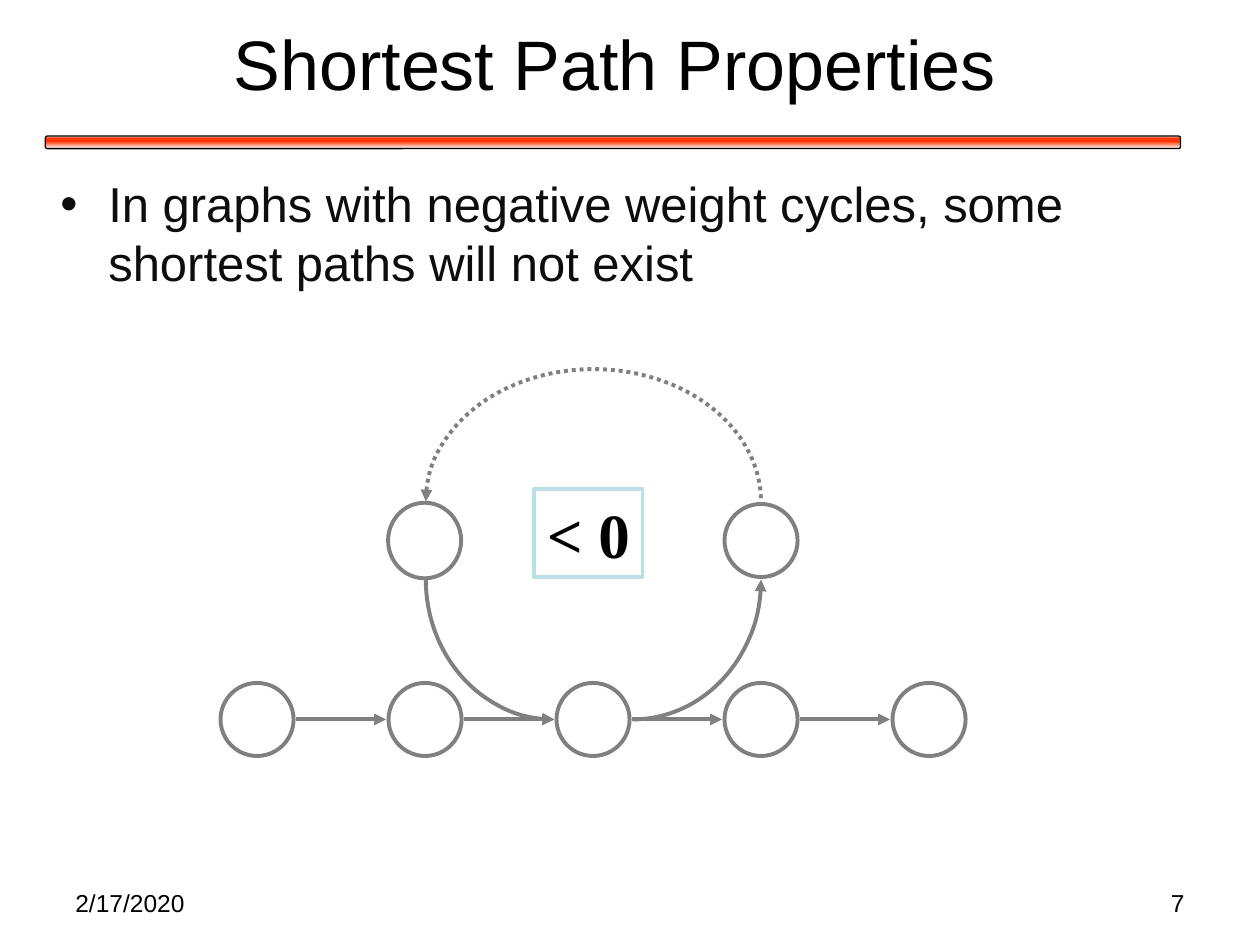
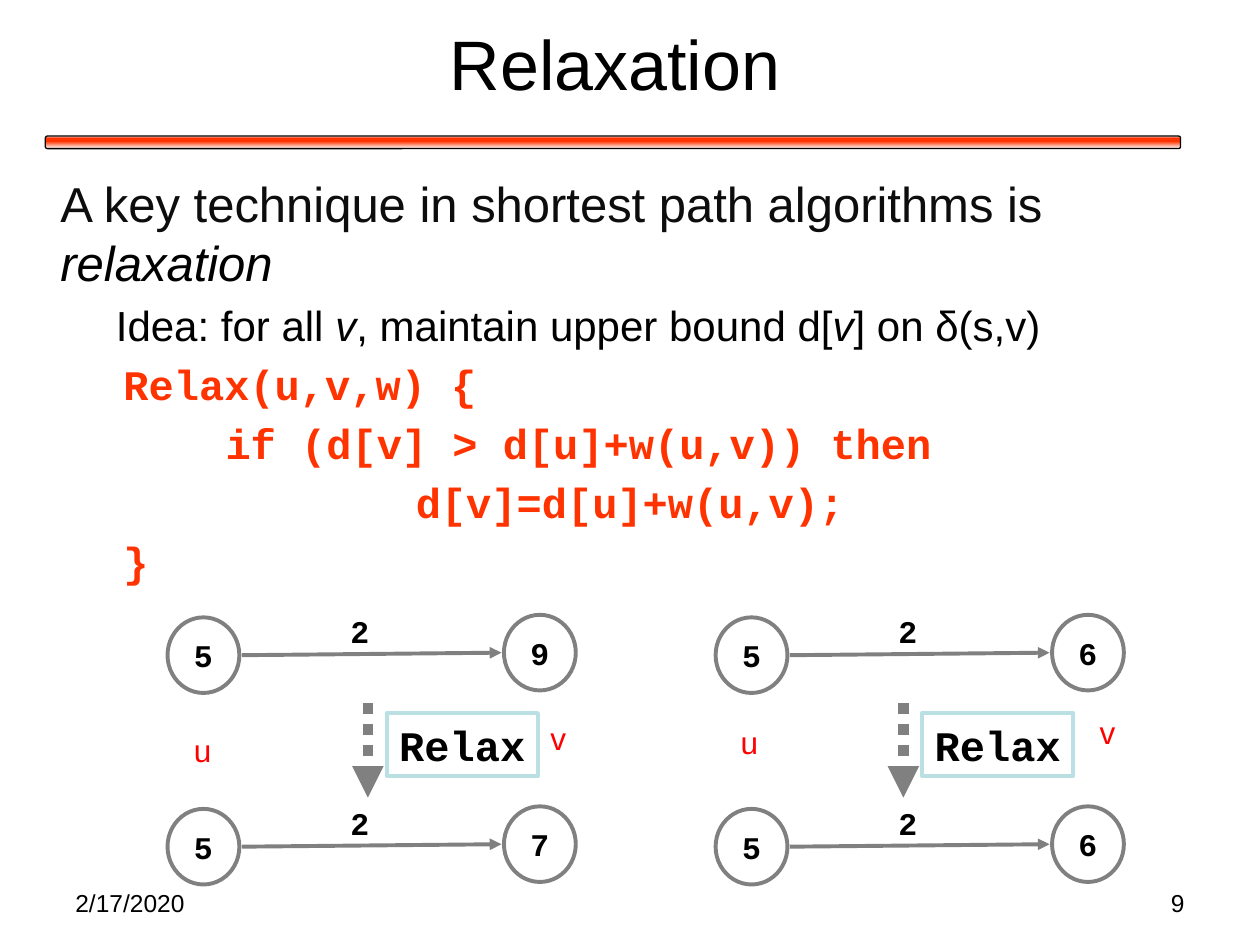
from lxml import etree
from pptx import Presentation
from pptx.dml.color import RGBColor
from pptx.enum.dml import MSO_LINE
from pptx.enum.shapes import MSO_CONNECTOR, MSO_SHAPE
from pptx.enum.text import MSO_ANCHOR, MSO_AUTO_SIZE, PP_ALIGN
from pptx.oxml.ns import qn
from pptx.util import Inches, Pt

BLACK = RGBColor(0x00, 0x00, 0x00)
NEAR_BLACK = RGBColor(0x0D, 0x0D, 0x0D)
WHITE = RGBColor(0xFF, 0xFF, 0xFF)
GRAY = RGBColor(0x80, 0x80, 0x80)
ORANGE_RED = RGBColor(0xFF, 0x33, 0x00)
RED = RGBColor(0xFF, 0x00, 0x00)
PALE_TEAL = RGBColor(0xBB, 0xE0, 0xE3)

SANS, MONO, SERIF = "Arial", "Courier New", "Times New Roman"
BAND_STOPS = [(0, WHITE), (16, ORANGE_RED), (42, ORANGE_RED), (100, WHITE)]
LINE_WIDTH = 2.25
NODE_WIDTH, NODE_HEIGHT = 0.57, 0.6
GRAPH_NODE = 0.58


def inches(*lengths):
    return [Inches(length) for length in lengths]


def style_run(run, size, color=BLACK, font=SANS, bold=False, italic=False):
    run.font.size = Pt(size)
    run.font.name = font
    run.font.color.rgb = color
    run.font.bold = bold
    run.font.italic = italic


def style_line(shape, color=GRAY, width=LINE_WIDTH, dotted=False):
    shape.line.color.rgb = color
    shape.line.width = Pt(width)
    if dotted:
        shape.line.dash_style = MSO_LINE.ROUND_DOT


def add_arrowhead(shape, end):
    """Put a triangle at an end of the line: headEnd or tailEnd."""
    outline = shape._element.spPr.find(qn("a:ln"))
    etree.SubElement(outline, qn(f"a:{end}"), type="triangle")


def add_label(shapes, text, box, size, align=PP_ALIGN.LEFT, wrap=False, border=None, **font):
    label = shapes.add_textbox(*inches(*box))
    label.text_frame.word_wrap = wrap
    label.text_frame.text = text
    paragraph = label.text_frame.paragraphs[0]
    paragraph.alignment = align
    style_run(paragraph.runs[0], size, **font)
    if border is not None:
        style_line(label, border)


def add_node(shapes, left, top, width, height, text=""):
    node = shapes.add_shape(MSO_SHAPE.OVAL, *inches(left, top, width, height))
    node.shadow.inherit = False
    node.fill.solid()
    node.fill.fore_color.rgb = WHITE
    style_line(node)
    if text:
        node.text_frame.text = text
        node.text_frame.vertical_anchor = MSO_ANCHOR.MIDDLE
        paragraph = node.text_frame.paragraphs[0]
        paragraph.alignment = PP_ALIGN.CENTER
        style_run(paragraph.runs[0], 18, font=MONO, bold=True)


def add_arrow(shapes, start, end, width=LINE_WIDTH, dotted=False):
    arrow = shapes.add_connector(MSO_CONNECTOR.STRAIGHT, *inches(*start, *end))
    style_line(arrow, width=width, dotted=dotted)
    add_arrowhead(arrow, "tailEnd")
    etree.SubElement(arrow._element.spPr, qn("a:effectLst"))


def add_arc_arrow(shapes, center, radii, degrees, dotted=False):
    """Draw a clockwise arc between two angles, with the arrowhead at its start."""
    (x, y), (radius_x, radius_y) = center, radii
    arc = shapes.add_shape(
        MSO_SHAPE.ARC, *inches(x - radius_x, y - radius_y, 2 * radius_x, 2 * radius_y))
    arc.shadow.inherit = False
    for index, angle in enumerate(degrees):
        arc.adjustments[index] = angle * 0.6  # 60000 units a degree, in 100000ths
    arc.fill.background()
    style_line(arc, dotted=dotted)
    add_arrowhead(arc, "headEnd")


def add_band(slide):
    band = slide.shapes.add_shape(
        MSO_SHAPE.ROUNDED_RECTANGLE, *inches(0.36, 1.08, 9.01, 0.1))
    band.shadow.inherit = False
    band.fill.gradient()
    band.fill.gradient_angle = 270
    stops = band._element.spPr.find(qn("a:gradFill")).find(qn("a:gsLst"))
    for stop in list(stops):
        stops.remove(stop)
    for percent, color in BAND_STOPS:
        stop = etree.SubElement(stops, qn("a:gs"), pos=str(percent * 1000))
        etree.SubElement(stop, qn("a:srgbClr"), val=str(color))
    style_line(band, BLACK, 0.75)


def place(placeholder, *box):
    placeholder.left, placeholder.top, placeholder.width, placeholder.height = inches(*box)
    placeholder.text_frame.auto_size = MSO_AUTO_SIZE.NONE


def add_content_slide(presentation, title, number):
    """Add a slide with title, band and footer; return it with its body frame."""
    slide = presentation.slides.add_slide(presentation.slide_layouts[1])
    add_band(slide)
    place(slide.shapes.title, 0.38, 0, 9, 0.99)
    slide.shapes.title.text_frame.text = title
    style_run(slide.shapes.title.text_frame.paragraphs[0].runs[0], 40)
    body = slide.placeholders[1]
    place(body, 0.38, 1.33, 9, 5.55)
    add_label(slide.shapes, "2/17/2020", (0.5, 7, 2.33, 0.35), 14, wrap=True)
    add_label(slide.shapes, number, (7.17, 7, 2.33, 0.35), 14, PP_ALIGN.RIGHT, wrap=True)
    return slide, body.text_frame


def set_indent(paragraph, margin, first_line=0, bullet=None):
    properties = paragraph._p.get_or_add_pPr()
    properties.set("marL", str(Inches(margin)))
    properties.set("indent", str(Inches(first_line)))
    if bullet:
        etree.SubElement(properties, qn("a:buChar"), char=bullet)
    else:
        etree.SubElement(properties, qn("a:buNone"))


def add_runs(paragraph, parts, **font):
    """Add the parts in turn upright and italic."""
    for index, part in enumerate(parts):
        run = paragraph.add_run()
        run.text = part
        style_run(run, italic=index % 2 == 1, **font)


def build_properties_slide(presentation):
    slide, body = add_content_slide(presentation, "Shortest Path Properties", "7")
    body.text = "In graphs with negative weight cycles, some shortest paths will not exist"
    set_indent(body.paragraphs[0], 0.38, -0.38, bullet="•")
    style_run(body.paragraphs[0].runs[0], 28, NEAR_BLACK)

    shapes = slide.shapes
    row_top, row_middle = 5.42, 5.71
    step = 4 / 3
    for index in range(5):
        left = 1.75 + index * step
        add_node(shapes, left, row_top, GRAPH_NODE, GRAPH_NODE)
        if index < 4:
            add_arrow(shapes, (left + 0.6, row_middle), (left + step - 0.02, row_middle))
    add_node(shapes, 3.08, 3.99, GRAPH_NODE, 0.6)
    add_node(shapes, 5.75, 4, GRAPH_NODE, GRAPH_NODE)

    quarter = (1.02, 1.11)
    add_arc_arrow(shapes, (4.4, 4.6), quarter, (90, 180))
    add_arc_arrow(shapes, (5.02, 4.6), quarter, (0, 90))
    add_arc_arrow(shapes, (4.71, 3.98), (1.33, 1.05), (180, 0), dotted=True)
    add_label(shapes, "< 0", (4.24, 3.88, 0.86, 0.7), 36, PP_ALIGN.CENTER,
              border=PALE_TEAL, font=SERIF, bold=True)


def add_edge(shapes, left, top, source, target):
    """Draw source and target nodes joined by an edge of weight 2."""
    add_node(shapes, left + 2.67, top, NODE_WIDTH, NODE_HEIGHT, target)
    add_node(shapes, left, top + 0.02, NODE_WIDTH, NODE_HEIGHT, source)
    add_arrow(shapes, (left + 0.59, top + 0.32), (left + 2.65, top + 0.3))
    add_label(shapes, "2", (left + 1.34, top - 0.07, 0.37, 0.43), 18,
              PP_ALIGN.CENTER, font=MONO, bold=True)


def add_relax_example(slide, left, arrow_x, before, after):
    shapes = slide.shapes.add_group_shape().shapes
    add_edge(shapes, left, 4.88, "5", before)
    add_edge(shapes, left, 6.4, "5", after)
    add_arrow(shapes, (arrow_x, 5.58), (arrow_x, 6.33), width=6, dotted=True)
    add_label(shapes, "Relax", (arrow_x + 0.15, 5.66, 1.2, 0.5), 24,
              border=PALE_TEAL, font=MONO, bold=True)


def build_relaxation_slide(presentation):
    slide, body = add_content_slide(presentation, "Relaxation", "9")
    paragraph = body.paragraphs[0]
    set_indent(paragraph, 0)
    add_runs(paragraph, ["A key technique in shortest path algorithms is ", "relaxation"],
             size=28, color=NEAR_BLACK)
    paragraph.runs[1].font.color.rgb = BLACK

    idea = ["Idea: for all ", "v", ", maintain upper bound d[", "v", "] on δ(s,v)"]
    code = {"font": MONO, "color": ORANGE_RED, "bold": True}
    for parts, margin, font in [
        (idea, 0.44, {}),
        (["Relax(u,v,w) {"], 0.5, code),
        (["if (d[v] > d[u]+w(u,v)) then"], 1.31, code),
        (["d[v]=d[u]+w(u,v);"], 2.82, code),
        (["}"], 0.5, code),
    ]:
        paragraph = body.add_paragraph()
        paragraph.level = 1
        set_indent(paragraph, margin)
        add_runs(paragraph, parts, size=24, **font)

    add_relax_example(slide, 1.33, 2.92, "9", "7")
    add_relax_example(slide, 5.68, 7.17, "6", "6")
    for name, left, top in [("u", 1.44, 5.75), ("v", 4.27, 5.66),
                            ("u", 5.78, 5.69), ("v", 8.63, 5.61)]:
        add_label(slide.shapes, name, (left, top, 0.34, 0.4), 18, color=RED)


def main():
    presentation = Presentation()
    presentation.slide_width, presentation.slide_height = inches(10, 7.5)
    build_properties_slide(presentation)
    build_relaxation_slide(presentation)
    presentation.save("out.pptx")


if __name__ == "__main__":
    main()
